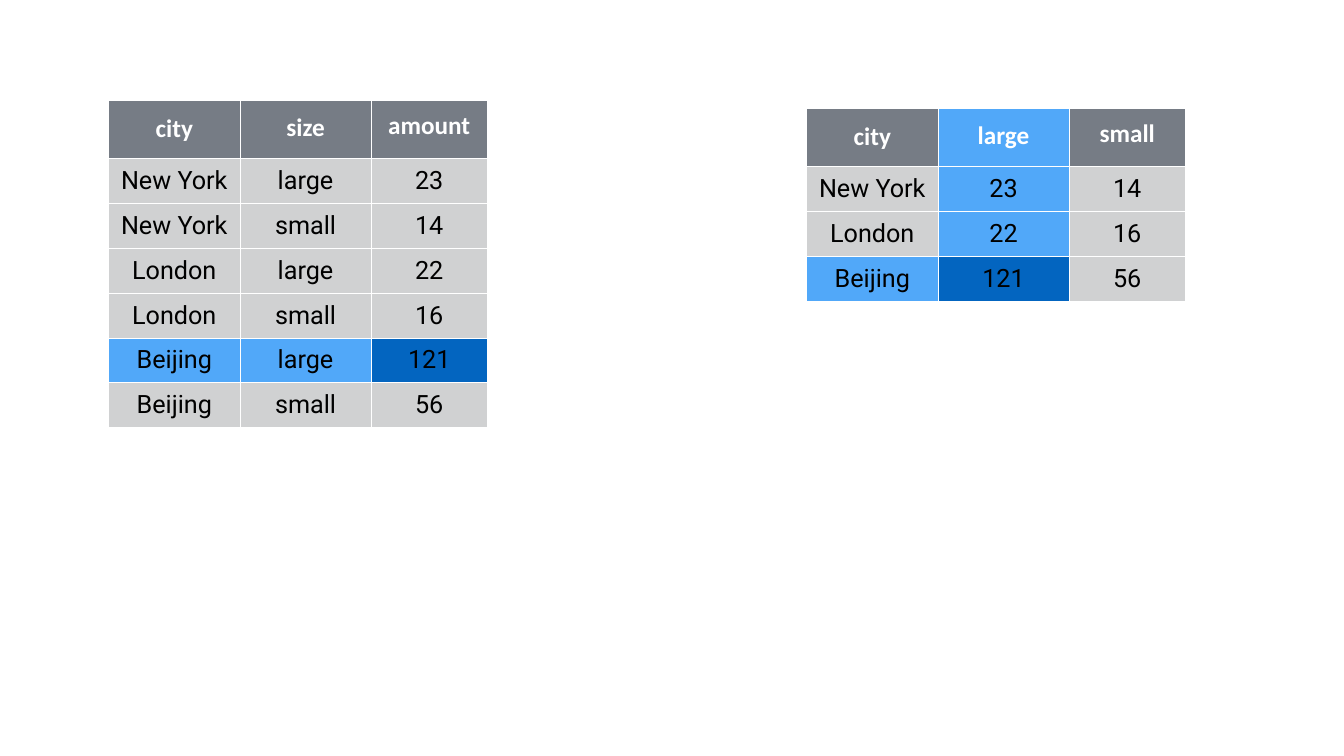
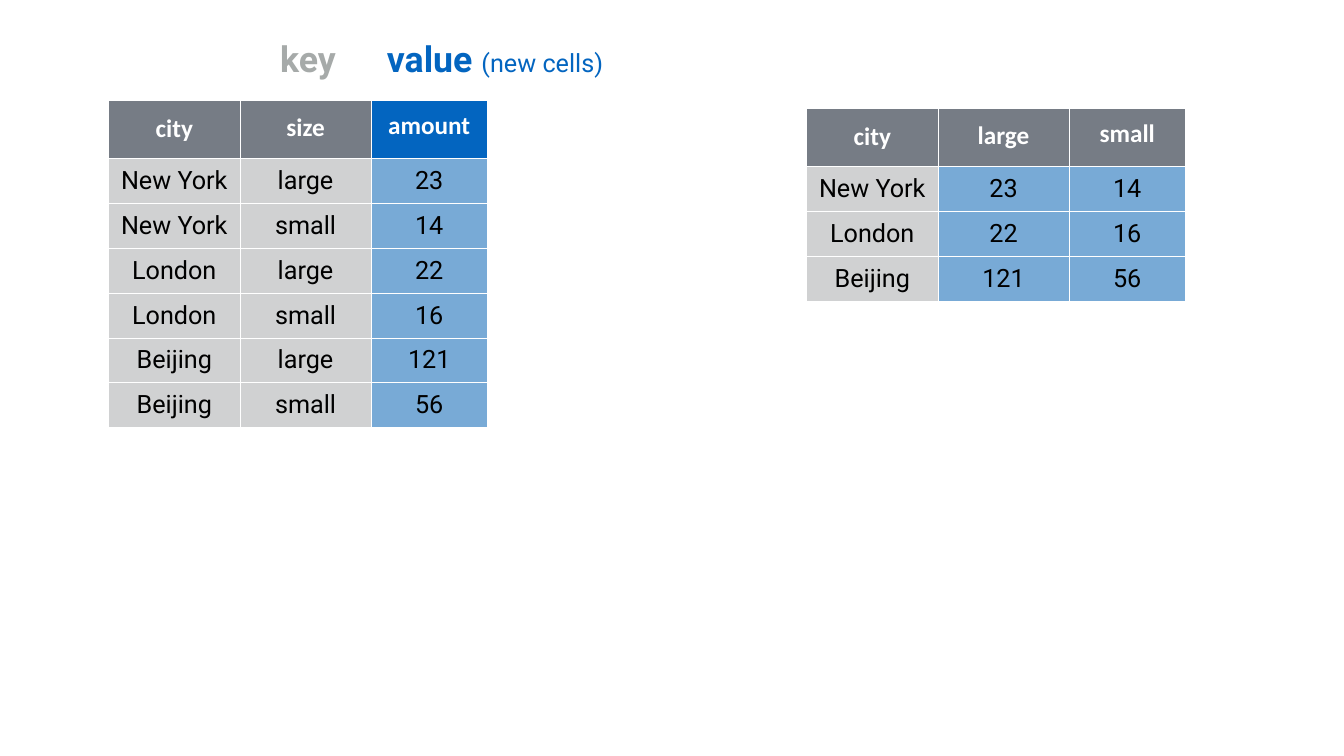
import lxml.etree
import pptx
import pptx.dml.color
import pptx.enum.text
import pptx.oxml.ns
import pptx.util

Cm = pptx.util.Cm
Pt = pptx.util.Pt
qn = pptx.oxml.ns.qn

WHITE, BLACK = "FFFFFF", "000000"
HEADER_GRAY, CELL_GRAY, KEY_GRAY = "767C85", "D0D1D2", "A6AAA9"
LIGHT_BLUE, SOFT_BLUE, DEEP_BLUE = "51A8F9", "78AAD6", "0365C0"
HEADER_FONT, BODY_FONT = "Calibri", "Roboto"

COLUMN_WIDTHS = [6.65, 6.58, 5.89]
HEADER_SPACING = [1.0, 0.8, 0.6]
HEADER_HEIGHT, ROW_HEIGHT = 2.96, 2.26
CELL_INSET, LABEL_INSET = 0.15, 0.2

LONG_BOX = (5.46, 5.03)
WIDE_BOX = (40.64, 5.44)
LABEL_TOP, LABEL_WIDTH, LABEL_HEIGHT = 1.65, 17.98, 2.54

LONG_ROWS = [
    ["city", "size", "amount"],
    ["New York", "large", "23"],
    ["New York", "small", "14"],
    ["London", "large", "22"],
    ["London", "small", "16"],
    ["Beijing", "large", "121"],
    ["Beijing", "small", "56"],
]
WIDE_ROWS = [
    ["city", "large", "small"],
    ["New York", "23", "14"],
    ["London", "22", "16"],
    ["Beijing", "121", "56"],
]


def color(value):
    return pptx.dml.color.RGBColor.from_string(value)


def add_span(para, text, size, font, tint, bold=False):
    span = para.add_run()
    span.text = text
    span.font.size = Pt(size)
    span.font.name = font
    span.font.bold = bold
    span.font.color.rgb = color(tint)


def set_margins(owner, inset):
    owner.margin_left = owner.margin_right = Cm(inset)
    owner.margin_top = owner.margin_bottom = Cm(inset)


def add_borders(cell):
    properties = cell._tc.get_or_add_tcPr()
    for side in ("lnL", "lnR", "lnT", "lnB"):
        line = lxml.etree.SubElement(properties, qn(f"a:{side}"), w=str(Pt(1)))
        fill = lxml.etree.SubElement(line, qn("a:solidFill"))
        lxml.etree.SubElement(fill, qn("a:srgbClr"), val=WHITE)


def fill_cell(cell, text, tint, is_header, spacing):
    set_margins(cell, CELL_INSET)
    cell.vertical_anchor = pptx.enum.text.MSO_ANCHOR.MIDDLE
    add_borders(cell)
    cell.fill.solid()
    cell.fill.fore_color.rgb = color(tint)
    para = cell.text_frame.paragraphs[0]
    para.alignment = pptx.enum.text.PP_ALIGN.CENTER
    if is_header:
        para.line_spacing = spacing
        add_span(para, text, 36, HEADER_FONT, WHITE, True)
    else:
        add_span(para, text, 36, BODY_FONT, BLACK)


def add_data_table(slide, box, rows, highlights):
    left, top = box
    heights = [HEADER_HEIGHT] + [ROW_HEIGHT] * (len(rows) - 1)
    table = slide.shapes.add_table(
        len(rows), len(COLUMN_WIDTHS), Cm(left), Cm(top),
        Cm(sum(COLUMN_WIDTHS)), Cm(sum(heights)),
    ).table
    table.horz_banding = False
    table.first_row = False
    for column, width in zip(table.columns, COLUMN_WIDTHS):
        column.width = Cm(width)
    for r, (row, height) in enumerate(zip(rows, heights)):
        table.rows[r].height = Cm(height)
        for c, text in enumerate(row):
            tint = highlights.get((r, c), CELL_GRAY if r else HEADER_GRAY)
            fill_cell(table.cell(r, c), text, tint, r == 0, HEADER_SPACING[c])


def add_label(slide, left, tint, title, note=""):
    box = slide.shapes.add_textbox(
        Cm(left), Cm(LABEL_TOP), Cm(LABEL_WIDTH), Cm(LABEL_HEIGHT))
    frame = box.text_frame
    frame.word_wrap = True
    frame.vertical_anchor = pptx.enum.text.MSO_ANCHOR.MIDDLE
    set_margins(frame, LABEL_INSET)
    para = frame.paragraphs[0]
    add_span(para, title, 51, BODY_FONT, tint, True)
    if note:
        add_span(para, note, 36, BODY_FONT, tint)


def add_tables_slide(deck, long_highlights, wide_highlights):
    slide = deck.slides.add_slide(deck.slide_layouts[6])
    add_data_table(slide, LONG_BOX, LONG_ROWS, long_highlights)
    add_data_table(slide, WIDE_BOX, WIDE_ROWS, wide_highlights)
    return slide


def add_single_value_slide(deck):
    long_highlights = {(5, 0): LIGHT_BLUE, (5, 1): LIGHT_BLUE, (5, 2): DEEP_BLUE}
    wide_highlights = {(r, 1): LIGHT_BLUE for r in range(3)}
    wide_highlights.update({(3, 0): LIGHT_BLUE, (3, 1): DEEP_BLUE})
    add_tables_slide(deck, long_highlights, wide_highlights)


def add_key_value_slide(deck):
    long_highlights = {(r, 2): SOFT_BLUE for r in range(1, len(LONG_ROWS))}
    long_highlights[0, 2] = DEEP_BLUE
    wide_highlights = {
        (r, c): SOFT_BLUE for r in range(1, len(WIDE_ROWS)) for c in (1, 2)}
    slide = add_tables_slide(deck, long_highlights, wide_highlights)
    add_label(slide, 13.92, KEY_GRAY, "key")
    add_label(slide, 19.3, DEEP_BLUE, "value ", "(new cells)")


def main():
    deck = pptx.Presentation()
    deck.slide_width = Cm(67.74)
    deck.slide_height = Cm(38.1)
    add_single_value_slide(deck)
    add_key_value_slide(deck)
    deck.save("out.pptx")


if __name__ == "__main__":
    main()
